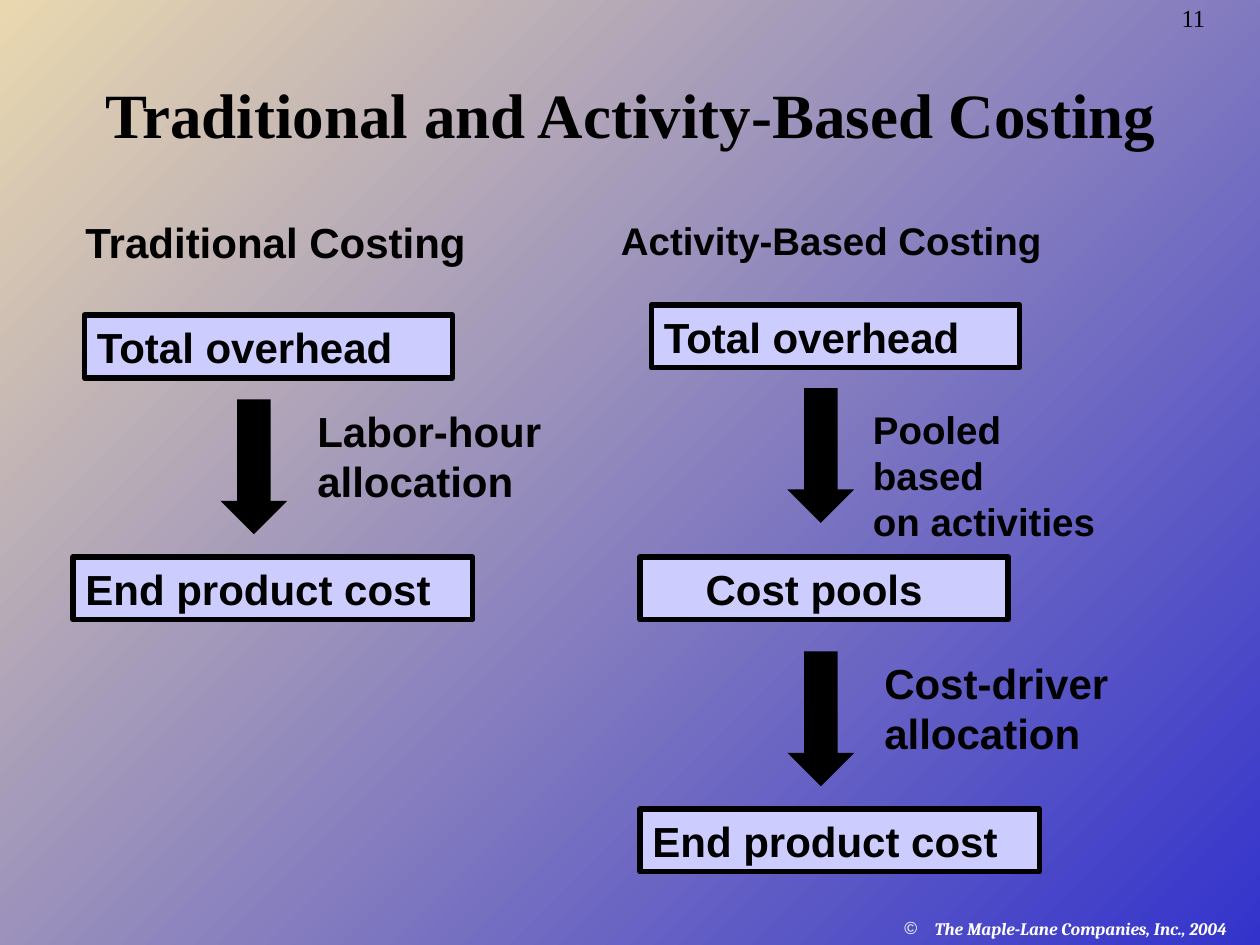
from lxml.etree import SubElement
from pptx import Presentation
from pptx.dml.color import RGBColor
from pptx.enum.shapes import MSO_SHAPE
from pptx.enum.text import MSO_ANCHOR, PP_ALIGN
from pptx.oxml.ns import qn
from pptx.util import Inches, Pt

BLACK = RGBColor(0x00, 0x00, 0x00)
WHITE = RGBColor(0xFF, 0xFF, 0xFF)
LAVENDER = RGBColor(0xCC, 0xCC, 0xFF)
BLUE = RGBColor(0x33, 0x33, 0xCC)
SAND = RGBColor(0xE9, 0xD8, 0xAF)

TITLE = "Traditional and Activity-Based Costing"
PAGE_NUMBER = "11"
FOOTER = "The Maple-Lane Companies, Inc., 2004"
HEADINGS = [
    ("Traditional Costing", 0.58, 3.33, 24),
    ("Activity-Based Costing", 4.83, 3.58, 22),
]
BOXES = [
    ("Total overhead", 0.67, 2.5, 2.92, 0.1),
    ("End product cost", 0.58, 4.42, 3.17, 0.1),
    ("Total overhead", 5.17, 2.42, 2.92, 0.1),
    ("Cost pools", 5.08, 4.42, 2.92, 0.52),
    ("End product cost", 5.08, 6.42, 3.17, 0.1),
]
ARROWS = [(1.75, 3.17), (6.25, 3.08), (6.25, 5.17)]
STEPS = [
    ("Labor-hour\nallocation", 2.42, 3.17, 2, 0.9, 24),
    ("Pooled based\non activities", 6.83, 3.17, 2.08, 1.2, 22),
    ("Cost-driver\nallocation", 6.92, 5.17, 2, 0.9, 24),
]
HEADING_TOP, LINE_HEIGHT = 1.67, 0.5
ARROW_WIDTH, ARROW_HEIGHT = 0.53, 1.07
BULLET_INDENT = 0.24


def set_text(sp, text, size, font="Arial", color=BLACK, bold=True,
             italic=False, align=PP_ALIGN.LEFT, anchor=MSO_ANCHOR.TOP):
    """Fill a shape with text in one format."""
    tf = sp.text_frame
    tf.text = text
    tf.word_wrap = True
    tf.vertical_anchor = anchor
    for p in tf.paragraphs:
        p.alignment = align
        for r in p.runs:
            r.font.name, r.font.size = font, Pt(size)
            r.font.bold, r.font.italic = bold, italic
            r.font.color.rgb = color
    return tf


def add_text(s, text, x, y, w, h, size, **style):
    """Add a text box."""
    sp = s.shapes.add_textbox(Inches(x), Inches(y), Inches(w), Inches(h))
    return set_text(sp, text, size, **style)


def add_block(s, kind, x, y, w, h, fill):
    """Add a filled preset shape without shadow or line."""
    sp = s.shapes.add_shape(kind, Inches(x), Inches(y), Inches(w), Inches(h))
    sp.shadow.inherit = False
    sp.fill.solid()
    sp.fill.fore_color.rgb = fill
    sp.line.fill.background()
    return sp


def add_box(s, text, x, y, w, inset):
    """Add an outlined cost box."""
    sp = add_block(s, MSO_SHAPE.RECTANGLE, x, y, w, LINE_HEIGHT, LAVENDER)
    sp.line.color.rgb = BLACK
    sp.line.width = Pt(3)
    set_text(sp, text, 24).margin_left = Inches(inset)


def add_bullet(p, char, color):
    """Give a paragraph a coloured bullet with a hanging indent."""
    pPr = p._p.get_or_add_pPr()
    pPr.set("marL", str(Inches(BULLET_INDENT)))
    pPr.set("indent", str(-Inches(BULLET_INDENT)))
    SubElement(SubElement(pPr, qn("a:buClr")), qn("a:srgbClr"), val=str(color))
    SubElement(pPr, qn("a:buFont"), typeface="Arial")
    SubElement(pPr, qn("a:buChar"), char=char)


def set_background(s):
    """Paint the diagonal gradient."""
    fill = s.background.fill
    fill.gradient()
    fill.gradient_angle = 135
    for stop, color in zip(fill.gradient_stops, (BLUE, SAND)):
        stop.color.rgb = color


def main():
    """Build the costing comparison slide."""
    prs = Presentation()
    prs.slide_width, prs.slide_height = Inches(10), Inches(7.5)
    s = prs.slides.add_slide(prs.slide_layouts[5])
    set_background(s)

    tf = add_text(s, FOOTER, 7.08, 7.24, 2.92, 0.26, 10, font="Cambria",
                  color=WHITE, italic=True)
    add_bullet(tf.paragraphs[0], "©", WHITE)
    tf = add_text(s, PAGE_NUMBER, 9.28, 0, 0.6, 0.31, 14,
                  font="Times New Roman", bold=False)
    tf.paragraphs[0].line_spacing = 0.9

    title = s.shapes.title
    title.left, title.top = Inches(0.2), Inches(0.58)
    title.width, title.height = Inches(9.61), Inches(0.67)
    set_text(title, TITLE, 36, font="Times New Roman",
             align=PP_ALIGN.CENTER, anchor=MSO_ANCHOR.BOTTOM)

    for text, x, w, size in HEADINGS:
        add_text(s, text, x, HEADING_TOP, w, LINE_HEIGHT, size)
    for box in BOXES:
        add_box(s, *box)
    for x, y in ARROWS:
        add_block(s, MSO_SHAPE.DOWN_ARROW, x, y, ARROW_WIDTH, ARROW_HEIGHT, BLACK)
    for step in STEPS:
        add_text(s, *step)

    prs.save("out.pptx")


if __name__ == "__main__":
    main()
